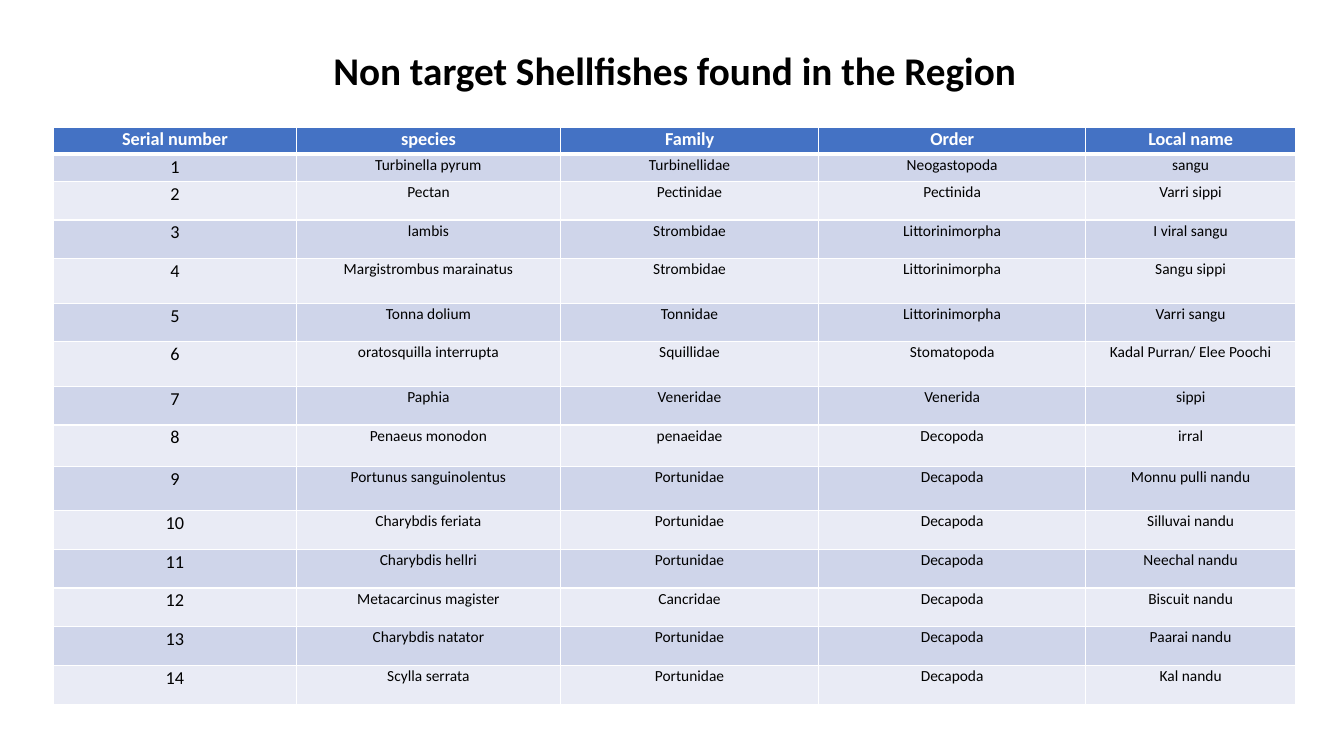
from lxml import etree
from pptx import Presentation
from pptx.dml.color import RGBColor
from pptx.enum import text
from pptx.oxml.ns import qn
from pptx.util import Inches, Pt

HEADERS = ["Serial number", "species", "Family", "Order", "Local name"]
SHELLFISH = [
    ("Turbinella pyrum", "Turbinellidae", "Neogastopoda", "sangu"),
    ("Pectan", "Pectinidae", "Pectinida", "Varri sippi"),
    ("lambis", "Strombidae", "Littorinimorpha", "I viral sangu"),
    ("Margistrombus marainatus", "Strombidae", "Littorinimorpha", "Sangu sippi"),
    ("Tonna dolium", "Tonnidae", "Littorinimorpha", "Varri sangu"),
    ("oratosquilla interrupta", "Squillidae", "Stomatopoda", "Kadal Purran/ Elee Poochi"),
    ("Paphia", "Veneridae", "Venerida", "sippi"),
    ("Penaeus monodon", "penaeidae", "Decopoda", "irral"),
    ("Portunus sanguinolentus", "Portunidae", "Decapoda", "Monnu pulli nandu"),
    ("Charybdis feriata", "Portunidae", "Decapoda", "Silluvai nandu"),
    ("Charybdis hellri", "Portunidae", "Decapoda", "Neechal nandu"),
    ("Metacarcinus magister", "Cancridae", "Decapoda", "Biscuit nandu"),
    ("Charybdis natator", "Portunidae", "Decapoda", "Paarai nandu"),
    ("Scylla serrata", "Portunidae", "Decapoda", "Kal nandu"),
]
COL_WIDTHS = [2.41, 2.62, 2.56, 2.65, 2.08]
TABLE_HEIGHT = 5.73
SPECIAL_HEIGHTS = {0: 0.27, 1: 0.27, 4: 0.44, 6: 0.44, 8: 0.41, 9: 0.44}


def rgb(value):
    return RGBColor.from_string(value)


class SlideBuilder:
    font = "Calibri"
    white, black = "FFFFFF", "000000"
    header_fill = "4472C4"
    bands = ("E9EBF5", "CFD5EA")

    def __init__(self, prs):
        self.slide = prs.slides.add_slide(prs.slide_layouts[6])

    def set_text(self, tf, content, size, color, bold, spacing):
        tf.word_wrap = True
        p = tf.paragraphs[0]
        p.text = content
        p.alignment = text.PP_ALIGN.CENTER
        p.line_spacing = spacing
        p.font.name, p.font.size, p.font.bold = self.font, Pt(size), bold
        p.font.color.rgb = rgb(color)

    def title(self, content, x, y, w, h):
        sp = self.slide.shapes.add_textbox(Inches(x), Inches(y), Inches(w), Inches(h))
        sp.text_frame.vertical_anchor = text.MSO_ANCHOR.MIDDLE
        self.set_text(sp.text_frame, content, 28, self.black, True, 0.9)

    def borders(self, cell, widths):
        """Draw white cell borders; widths maps each side (L, R, T, B) to points."""
        tc_pr = cell._tc.get_or_add_tcPr()
        for i, (side, width) in enumerate(widths.items()):
            ln = etree.Element(qn(f"a:ln{side}"), w=str(Pt(width)))
            fill = etree.SubElement(ln, qn("a:solidFill"))
            etree.SubElement(fill, qn("a:srgbClr"), val=self.white)
            tc_pr.insert(i, ln)

    def cell(self, cell, content, row, col):
        header = row == 0
        cell.margin_left = cell.margin_right = Inches(0.06)
        cell.margin_top = cell.margin_bottom = 0
        cell.fill.solid()
        cell.fill.fore_color.rgb = rgb(self.header_fill if header else self.bands[row % 2])
        self.set_text(cell.text_frame, content, 13 if header or col == 0 else 11,
                      self.white if header else self.black, header, 1.07)
        self.borders(cell, {"L": 1, "R": 1, "T": 3 if row == 1 else 1, "B": 3 if header else 1})

    def table(self, rows, x, y, col_widths, height, special_heights):
        """Rows without a special height share what is left of the table height."""
        plain = (height - sum(special_heights.values())) / (len(rows) - len(special_heights))
        table = self.slide.shapes.add_table(
            len(rows), len(col_widths), Inches(x), Inches(y),
            Inches(sum(col_widths)), Inches(height)).table
        for column, width in zip(table.columns, col_widths):
            column.width = Inches(width)
        for i, row in enumerate(rows):
            table.rows[i].height = Inches(special_heights.get(i, plain))
            for j, content in enumerate(row):
                self.cell(table.cell(i, j), content, i, j)


def main():
    prs = Presentation()
    prs.slide_width, prs.slide_height = Inches(13.33), Inches(7.5)
    s = SlideBuilder(prs)
    rows = [HEADERS] + [(str(n), *names) for n, names in enumerate(SHELLFISH, 1)]
    s.table(rows, 0.53, 1.26, COL_WIDTHS, TABLE_HEIGHT, SPECIAL_HEIGHTS)
    s.title("Non target Shellfishes found in the Region", 0.94, 0, 11.5, 1.45)
    prs.save("out.pptx")


if __name__ == "__main__":
    main()
